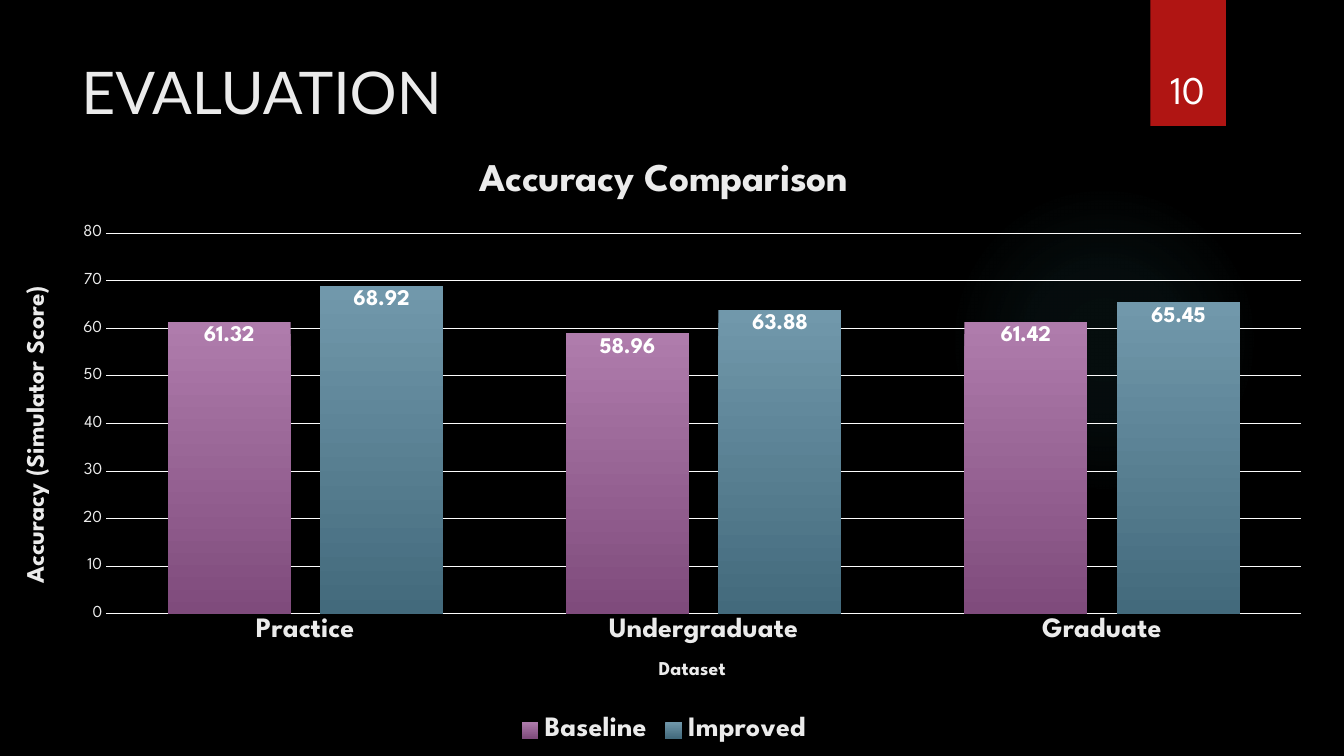
from dataclasses import dataclass

import lxml.etree
import pptx
import pptx.chart.data
import pptx.dml.color
import pptx.enum.chart
import pptx.enum.shapes
import pptx.enum.text
import pptx.oxml
import pptx.oxml.ns
import pptx.util

Inches = pptx.util.Inches
qn = pptx.oxml.ns.qn

COLORS = {
    "background": "000000", "glow": "50B9C1", "ribbon": "B01513",
    "text": "EBEBEB", "white": "FFFFFF", "line": "FCFCFC",
    "purple_top": "AF7CAC", "purple_bottom": "7F4B7C",
    "blue_top": "7198AB", "blue_bottom": "436A7C",
}
HEADING_FONT = "Lato"
BODY_FONT = "League Spartan"


@dataclass
class Method:
    name: str
    scores: tuple[float, ...]
    top: str
    bottom: str


@dataclass
class Label:
    text: str
    box: tuple[float, float, float, float]
    size: int
    font: str
    color: str
    align: pptx.enum.text.PP_ALIGN
    anchor: pptx.enum.text.MSO_ANCHOR


DATASETS = ("Practice", "Undergraduate", "Graduate")
METHODS = (
    Method("Baseline", (61.32, 58.96, 61.42), "purple_top", "purple_bottom"),
    Method("Improved", (68.92, 63.88, 65.45), "blue_top", "blue_bottom"),
)
LABELS = (
    Label("EVALUATION", (0.71, 0.5, 10.29, 1.53), 42, HEADING_FONT, "text",
          pptx.enum.text.PP_ALIGN.LEFT, pptx.enum.text.MSO_ANCHOR.TOP),
    Label("10", (11.32, 0.32, 0.92, 0.84), 28, BODY_FONT, "white",
          pptx.enum.text.PP_ALIGN.CENTER, pptx.enum.text.MSO_ANCHOR.BOTTOM),
)


def rgb(name: str) -> pptx.dml.color.RGBColor:
    return pptx.dml.color.RGBColor.from_string(COLORS[name])


def style_font(font, size: int, color: str = "text", bold: bool = False,
               face: str = BODY_FONT) -> None:
    font.size = pptx.util.Pt(size)
    font.bold = bold
    font.name = face
    font.color.rgb = rgb(color)


def style_line(line) -> None:
    line.color.rgb = rgb("line")
    line.width = pptx.util.Pt(0.75)


def add_plain_shape(slide, kind, box: tuple[float, ...], color: str):
    shape = slide.shapes.add_shape(kind, *map(Inches, box))
    shape.shadow.inherit = False
    shape.line.fill.background()
    shape.fill.solid()
    shape.fill.fore_color.rgb = rgb(color)
    return shape


def add_glow(slide) -> None:
    glow = add_plain_shape(slide, pptx.enum.shapes.MSO_SHAPE.OVAL,
                           (9.41, 1.83, 3.08, 3.08), "glow")
    stops = "".join(
        f'<a:gs pos="{position * 1000}"><a:srgbClr val="{COLORS["glow"]}">'
        f'<a:alpha val="{alpha * 1000}"/></a:srgbClr></a:gs>'
        for position, alpha in ((0, 7), (36, 6), (69, 0), (100, 0)))
    gradient = pptx.oxml.parse_xml(
        f'<a:gradFill {pptx.oxml.ns.nsdecls("a")}><a:gsLst>{stops}</a:gsLst>'
        '<a:path path="circle"><a:fillToRect l="50000" t="50000" '
        'r="50000" b="50000"/></a:path></a:gradFill>')
    properties = glow.fill._xPr
    properties.replace(properties.find(qn("a:solidFill")), gradient)


def add_label(slide, label: Label) -> None:
    frame = slide.shapes.add_textbox(*map(Inches, label.box)).text_frame
    frame.word_wrap = True
    frame.vertical_anchor = label.anchor
    frame.text = label.text
    paragraph = frame.paragraphs[0]
    paragraph.alignment = label.align
    style_font(paragraph.runs[0].font, label.size, label.color, face=label.font)


def set_title(owner, text: str, size: int) -> None:
    """Title a chart or an axis."""
    frame = owner.text_frame
    frame.text = text
    style_font(frame.paragraphs[0].runs[0].font, size, bold=True)


def place_plot(chart, x: float, y: float, w: float, h: float) -> None:
    plot_area = chart._chartSpace.chart.plotArea
    for old in plot_area.findall(qn("c:layout")):
        plot_area.remove(old)
    layout = lxml.etree.Element(qn("c:layout"))
    manual = lxml.etree.SubElement(layout, qn("c:manualLayout"))
    settings = {"layoutTarget": "inner", "xMode": "edge", "yMode": "edge",
                "x": x, "y": y, "w": w, "h": h}
    for tag, value in settings.items():
        lxml.etree.SubElement(manual, qn(f"c:{tag}")).set("val", str(value))
    plot_area.insert(0, layout)


def style_series(series, method: Method) -> None:
    fill = series.format.fill
    fill.gradient()
    fill.gradient_angle = 270
    for stop, position, color in zip(fill.gradient_stops, (0, 1),
                                     (method.top, method.bottom)):
        stop.position = position
        stop.color.rgb = rgb(color)
    labels = series.data_labels
    labels.show_value = True
    labels.position = pptx.enum.chart.XL_LABEL_POSITION.INSIDE_END
    style_font(labels.font, 16, "white", bold=True)


def add_accuracy_chart(slide) -> None:
    data = pptx.chart.data.CategoryChartData()
    data.categories = DATASETS
    for method in METHODS:
        data.add_series(method.name, method.scores)
    chart = slide.shapes.add_chart(
        pptx.enum.chart.XL_CHART_TYPE.COLUMN_CLUSTERED,
        *map(Inches, (0, 1.34, 13.17, 6.09)), data).chart
    style_font(chart.font, 10, "white")
    set_title(chart.chart_title, "Accuracy Comparison", 28)
    chart.chart_title.include_in_layout = False
    place_plot(chart, 0.08, 0.16, 0.9, 0.62)

    # Columns
    plot = chart.plots[0]
    plot.vary_by_categories = False
    plot.gap_width = 100
    plot.overlap = -24
    for series, method in zip(plot.series, METHODS):
        style_series(series, method)

    # Axes
    datasets, accuracy = chart.category_axis, chart.value_axis
    for axis, title, title_size, size, bold in (
            (datasets, "Dataset", 14, 20, True),
            (accuracy, "Accuracy (Simulator Score)", 18, 12, False)):
        set_title(axis.axis_title, title, title_size)
        style_font(axis.tick_labels.font, size, bold=bold)
        axis.major_tick_mark = pptx.enum.chart.XL_TICK_MARK.NONE
    style_line(datasets.format.line)
    accuracy.format.line.fill.background()
    accuracy.minimum_scale, accuracy.maximum_scale = 0, 80
    accuracy.major_unit = 10
    style_line(accuracy.major_gridlines.format.line)

    # Legend
    chart.has_legend = True
    chart.legend.position = pptx.enum.chart.XL_LEGEND_POSITION.BOTTOM
    chart.legend.include_in_layout = False
    style_font(chart.legend.font, 20, bold=True)


def main() -> None:
    deck = pptx.Presentation()
    deck.slide_width, deck.slide_height = Inches(13.33), Inches(7.5)
    slide = deck.slides.add_slide(deck.slide_layouts[6])
    slide.background.fill.solid()
    slide.background.fill.fore_color.rgb = rgb("background")

    # Backdrop and page ribbon
    add_glow(slide)
    add_plain_shape(slide, pptx.enum.shapes.MSO_SHAPE.RECTANGLE,
                    (11.41, 0, 0.75, 1.25), "ribbon")

    # Heading, page number and chart
    for label in LABELS:
        add_label(slide, label)
    add_accuracy_chart(slide)
    deck.save("out.pptx")


if __name__ == "__main__":
    main()
